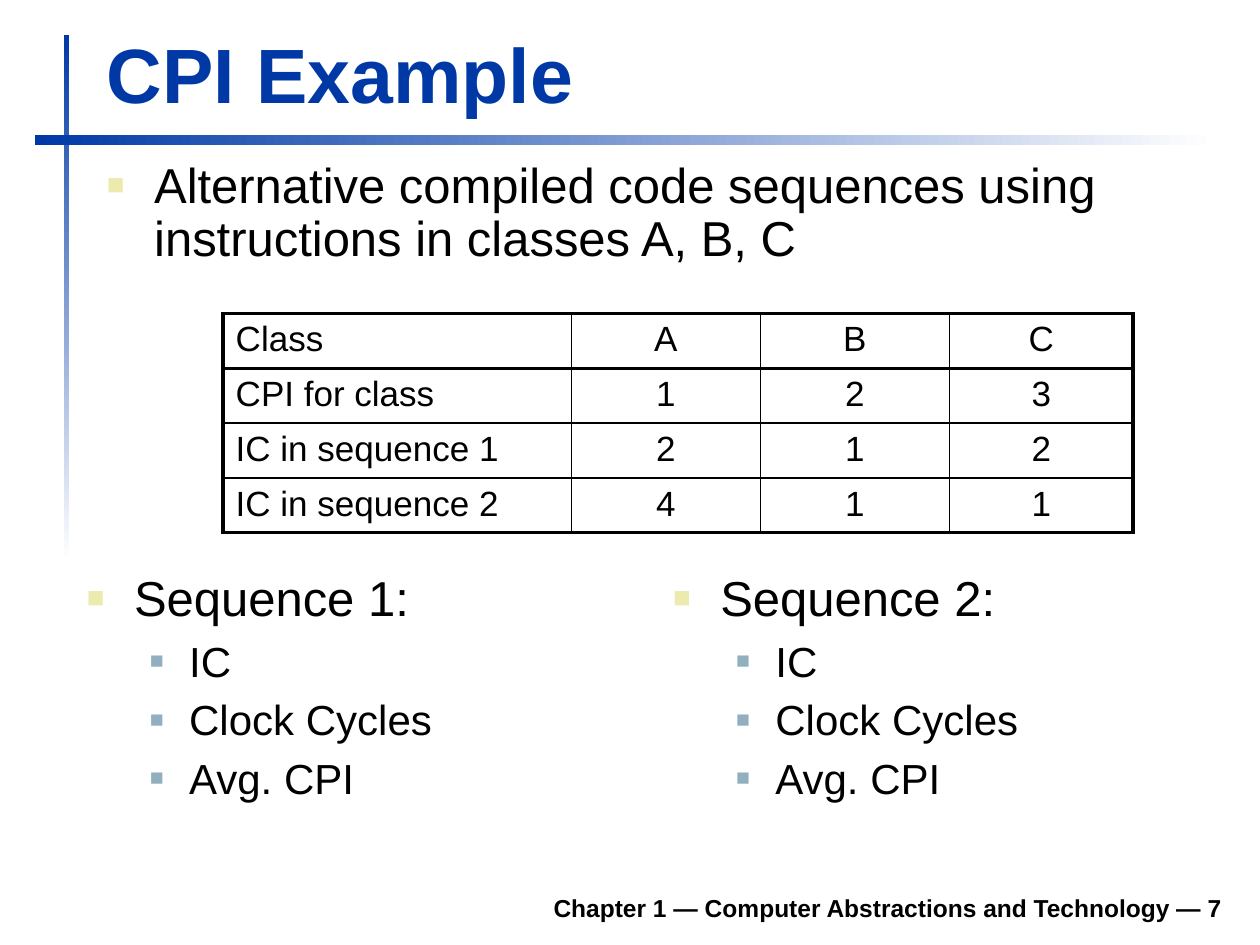
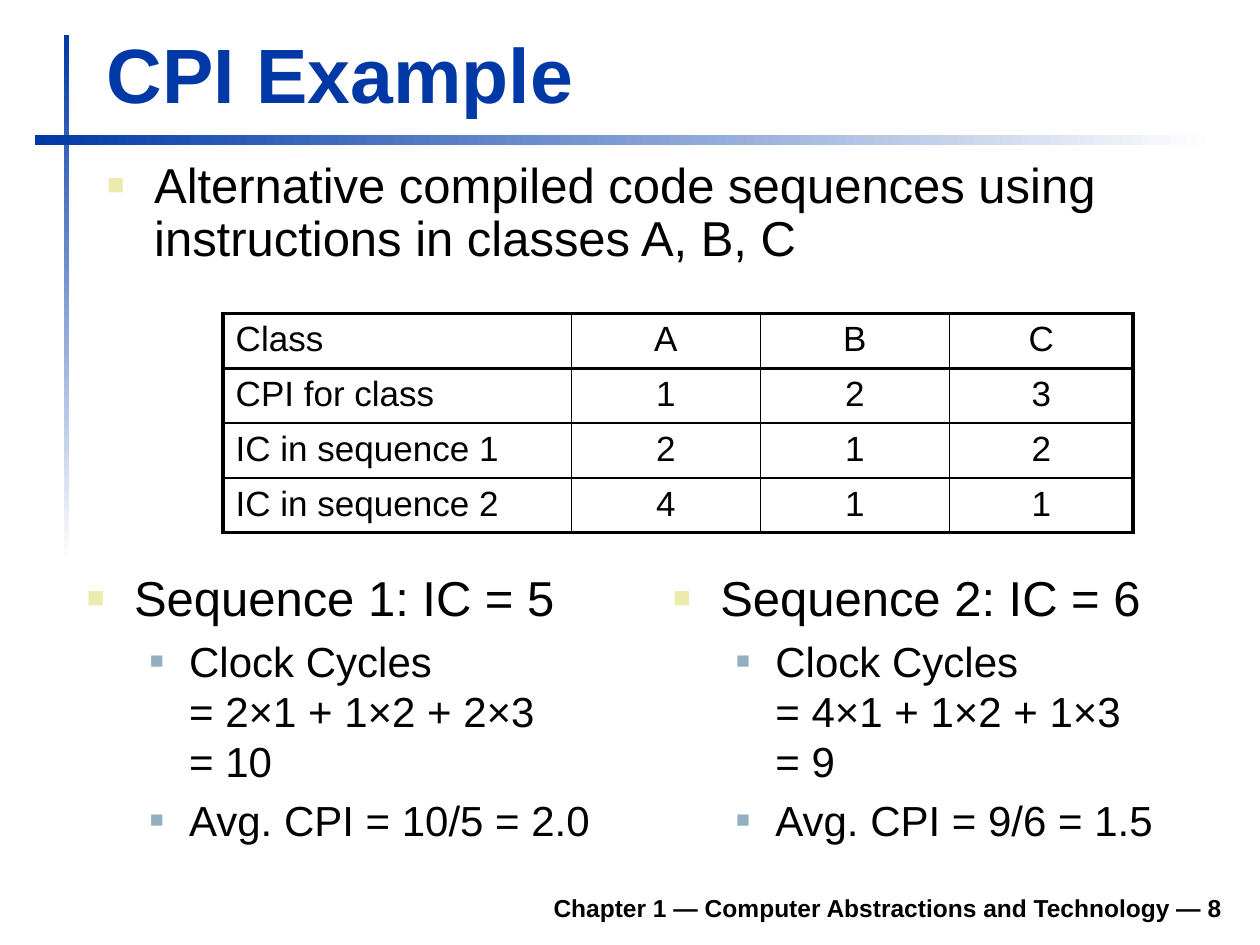
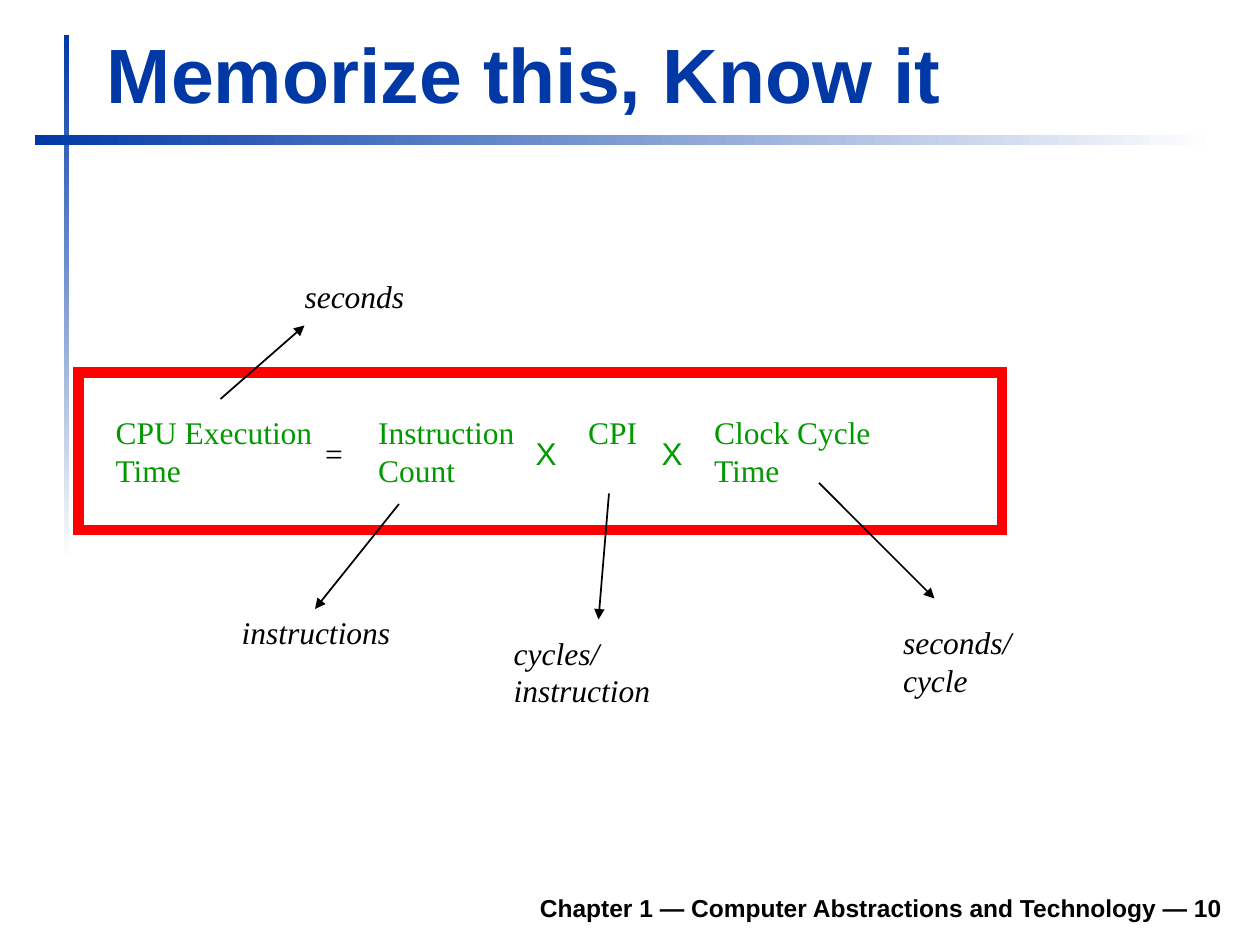
from dataclasses import dataclass
from typing import Any, NamedTuple

from lxml import etree
from pptx import Presentation
from pptx import util as u
from pptx.dml.color import RGBColor
from pptx.enum import dml, shapes, text
from pptx.oxml.ns import qn

Pt = u.Pt


@dataclass(frozen=True)
class Theme:
    blue: str = "0039A6"
    white: str = "FFFFFF"
    black: str = "000000"
    green: str = "009900"
    red: str = "FF0000"
    sans: str = "Arial"
    serif: str = "Times New Roman"
    title: float = 44
    table: float = 20
    label: float = 18
    footer: float = 14
    thin: float = 1
    thick: float = 2.25
    frame: float = 6


class Box(NamedTuple):
    x: float
    y: float
    w: float
    h: float


class Style(NamedTuple):
    size: float
    font: str
    color: str
    bold: bool = False
    italic: bool = False


class Level(NamedTuple):
    size: float
    margin: float
    indent: float
    bullet: str
    percent: int


class Item(NamedTuple):
    text: str
    level: int = 0


class Band(NamedTuple):
    box: Box
    angle: float


class Label(NamedTuple):
    text: str
    box: Box
    style: Style
    wrap: bool = False


class Arrow(NamedTuple):
    x1: float
    y1: float
    x2: float
    y2: float


T = Theme()
TITLE = Style(T.title, T.sans, T.blue, bold=True)
FOOTER = Style(T.footer, T.sans, T.black, bold=True)
CELL = Style(T.table, T.sans, T.black)
TERM = Style(T.label, T.serif, T.green)
EQUALS = Style(T.label, T.serif, T.black)
TIMES = Style(T.label, T.sans, T.green)
UNIT = Style(T.label, T.serif, T.black, italic=True)
LEVELS = (
    Level(28, 27, -27, "ECEAAC", 60),
    Level(24, 58.5, -22.5, "91AFBF", 55),
)

BANDS = (
    Band(Box(36.75, 20.25, 2.6, 300), 270),
    Band(Box(19.75, 77, 674.5, 6), 0),
)
TITLE_BOX = Box(54, 11.5, 650, 60)
FOOTER_BOX = Box(133.2, 502.5, 572.4, 28.1)
INTRO_BOX = Box(54, 88.5, 651.6, 78.5)
SEQUENCE_BOXES = tuple(Box(x, 321, 306, 164) for x in (42.5, 377.5))

TABLE_BOX = Box(127.5, 179.25, 520, 125.2)
COLUMN_WIDTHS = (199, 108, 108, 105)
TABLE_ROWS = (
    ("Class", "A", "B", "C"),
    ("CPI for class", "1", "2", "3"),
    ("IC in sequence 1", "2", "1", "2"),
    ("IC in sequence 2", "4", "1", "1"),
)

INTRO = "Alternative compiled code sequences using instructions in classes A, B, C"
QUESTIONS = tuple(
    (Item(f"Sequence {n}:"), Item("IC", 1), Item("Clock Cycles", 1), Item("Avg. CPI", 1))
    for n in (1, 2)
)
ANSWERS = tuple(
    (
        Item(f"Sequence {n}: IC = {count}"),
        Item(f"Clock Cycles\n= {terms}\n= {cycles}", 1),
        Item(f"Avg. CPI = {cycles}/{count} = {average}", 1),
    )
    for n, count, terms, cycles, average in (
        (1, 5, "2×1 + 1×2 + 2×3", 10, "2.0"),
        (2, 6, "4×1 + 1×2 + 1×3", 9, "1.5"),
    )
)

FRAME_BOX = Box(44.75, 213, 527.75, 90)
FORMULA = (
    Label("CPU Execution Time", Box(59, 232.5, 127, 50.4), TERM, True),
    Label("Instruction Count", Box(209, 232.5, 127, 50.4), TERM, True),
    Label("CPI", Box(329, 232.5, 127, 28.8), TERM, True),
    Label("Clock Cycle Time", Box(401, 232.5, 127, 50.4), TERM, True),
    Label("=", Box(178.75, 244.5, 24.5, 28.8), EQUALS),
    Label("X", Box(299, 244.5, 26, 28.8), TIMES),
    Label("X", Box(371, 244.5, 26, 28.8), TIMES),
)
UNITS = (
    Label("instructions", Box(131, 346.5, 99.5, 28.8), UNIT),
    Label("cycles/instruction", Box(286.5, 358.5, 141, 28.8), UNIT),
    Label("seconds/cycle", Box(509, 352.5, 113, 28.8), UNIT),
    Label("seconds", Box(167, 154.5, 71.5, 28.8), UNIT),
)
ARROWS = (
    Arrow(228, 288, 180, 348),
    Arrow(348, 282, 342, 354),
    Arrow(468, 276, 534, 342),
    Arrow(126, 228, 174, 186),
)


def assign(obj: Any, **values: Any) -> None:
    for name, value in values.items():
        setattr(obj, name, value)


def add(parent: Any, tag: str, **attrs: Any) -> Any:
    return etree.SubElement(parent, qn(tag), {k: str(v) for k, v in attrs.items()})


def points(values: tuple) -> list:
    return [Pt(v) for v in values]


def write(p: Any, content: str, style: Style) -> None:
    p.text = content
    for r in p.runs:
        assign(r.font, size=Pt(style.size), name=style.font, bold=style.bold, italic=style.italic)
        r.font.color.rgb = RGBColor.from_string(style.color)


def space_before(p: Any) -> Any:
    pr = p._p.get_or_add_pPr()
    add(add(pr, "a:spcBef"), "a:spcPct", val=20000)
    return pr


def text_frame(slide: Any, box: Box, **values: Any) -> Any:
    tf = slide.shapes.add_textbox(*points(box)).text_frame
    assign(tf, **{"word_wrap": True, **values})
    return tf


def draw_band(slide: Any, band: Band) -> None:
    sp = slide.shapes.add_shape(shapes.MSO_SHAPE.RECTANGLE, *points(band.box))
    sp.shadow.inherit = False
    sp.line.fill.background()
    sp.fill.gradient()
    sp.fill.gradient_angle = band.angle
    for stop, color, position in zip(sp.fill.gradient_stops, (T.blue, T.white), (0, 1)):
        stop.color.rgb = RGBColor.from_string(color)
        stop.position = position


def draw_bullets(slide: Any, box: Box, items: tuple, line_spacing: float | None = None) -> None:
    tf = text_frame(slide, box)
    for i, item in enumerate(items):
        level = LEVELS[item.level]
        p = tf.add_paragraph() if i else tf.paragraphs[0]
        write(p, item.text, Style(level.size, T.sans, T.black))
        pr = space_before(p)
        for name, value in {"marL": level.margin, "indent": level.indent}.items():
            pr.set(name, str(Pt(value)))
        add(add(pr, "a:buClr"), "a:srgbClr", val=level.bullet)
        add(pr, "a:buSzPct", val=level.percent * 1000)
        add(pr, "a:buFont", typeface=T.sans)
        add(pr, "a:buChar", char="■")
        assign(p, level=item.level, line_spacing=line_spacing)


def draw_borders(cell: Any, thick: dict[str, bool]) -> None:
    tc_pr = cell._tc.get_or_add_tcPr()
    for i, (side, is_thick) in enumerate(thick.items()):
        ln = add(tc_pr, f"a:ln{side}", w=Pt(T.thick if is_thick else T.thin))
        add(add(ln, "a:solidFill"), "a:srgbClr", val=T.black)
        tc_pr.insert(i, ln)


def draw_table(slide: Any) -> None:
    last_row, last_col = len(TABLE_ROWS) - 1, len(COLUMN_WIDTHS) - 1
    table = slide.shapes.add_table(last_row + 1, last_col + 1, *points(TABLE_BOX)).table
    assign(table, first_row=False, horz_banding=False)
    for column, width in zip(table.columns, COLUMN_WIDTHS):
        column.width = Pt(width)
    for i, row in enumerate(TABLE_ROWS):
        for j, value in enumerate(row):
            cell = table.cell(i, j)
            cell.fill.background()
            p = cell.text_frame.paragraphs[0]
            write(p, value, CELL)
            space_before(p)
            p.alignment = text.PP_ALIGN.CENTER if j else text.PP_ALIGN.LEFT
            draw_borders(cell, {"L": j == 0, "R": j == last_col, "T": i < 2, "B": i in (0, last_row)})


def draw_label(slide: Any, label: Label) -> None:
    tf = text_frame(
        slide, label.box, word_wrap=label.wrap, auto_size=text.MSO_AUTO_SIZE.SHAPE_TO_FIT_TEXT
    )
    write(tf.paragraphs[0], label.text, label.style)


def draw_frame(slide: Any) -> None:
    sp = slide.shapes.add_shape(shapes.MSO_SHAPE.RECTANGLE, *points(FRAME_BOX))
    sp.shadow.inherit = False
    sp.fill.background()
    sp.line.color.rgb = RGBColor.from_string(T.red)
    sp.line.width = Pt(T.frame)
    add(sp._element.spPr.find(qn("a:ln")), "a:miter", lim=800000)


def draw_arrow(slide: Any, arrow: Arrow) -> None:
    sp = slide.shapes.add_connector(shapes.MSO_CONNECTOR.STRAIGHT, *points(arrow))
    sp.line.color.rgb = RGBColor.from_string(T.black)
    assign(sp.line, width=Pt(T.thin), dash_style=dml.MSO_LINE.SOLID)
    sp_pr = sp._element.spPr
    add(sp_pr.find(qn("a:ln")), "a:tailEnd", type="triangle")
    add(sp_pr, "a:effectLst")


def new_slide(prs: Any, title: str, number: int) -> Any:
    slide = prs.slides.add_slide(prs.slide_layouts[6])
    for band in BANDS:
        draw_band(slide, band)
    bottom = text.MSO_ANCHOR.BOTTOM
    tf = text_frame(slide, TITLE_BOX, vertical_anchor=bottom)
    write(tf.paragraphs[0], title, TITLE)
    p = text_frame(slide, FOOTER_BOX, vertical_anchor=bottom).paragraphs[0]
    write(p, f"Chapter 1 — Computer Abstractions and Technology — {number}", FOOTER)
    p.alignment = text.PP_ALIGN.RIGHT
    return slide


def cpi_slide(prs: Any, number: int, sequences: tuple) -> None:
    slide = new_slide(prs, "CPI Example", number)
    draw_bullets(slide, INTRO_BOX, (Item(INTRO),), 0.9)
    draw_table(slide)
    for box, items in zip(SEQUENCE_BOXES, sequences):
        draw_bullets(slide, box, items)


def formula_slide(prs: Any, number: int) -> None:
    slide = new_slide(prs, "Memorize this, Know it", number)
    for label in FORMULA:
        draw_label(slide, label)
    draw_frame(slide)
    for arrow in ARROWS:
        draw_arrow(slide, arrow)
    for label in UNITS:
        draw_label(slide, label)


def main() -> None:
    prs = Presentation()
    assign(prs, slide_width=Pt(720), slide_height=Pt(540))
    cpi_slide(prs, 7, QUESTIONS)
    cpi_slide(prs, 8, ANSWERS)
    formula_slide(prs, 10)
    prs.save("out.pptx")


if __name__ == "__main__":
    main()
